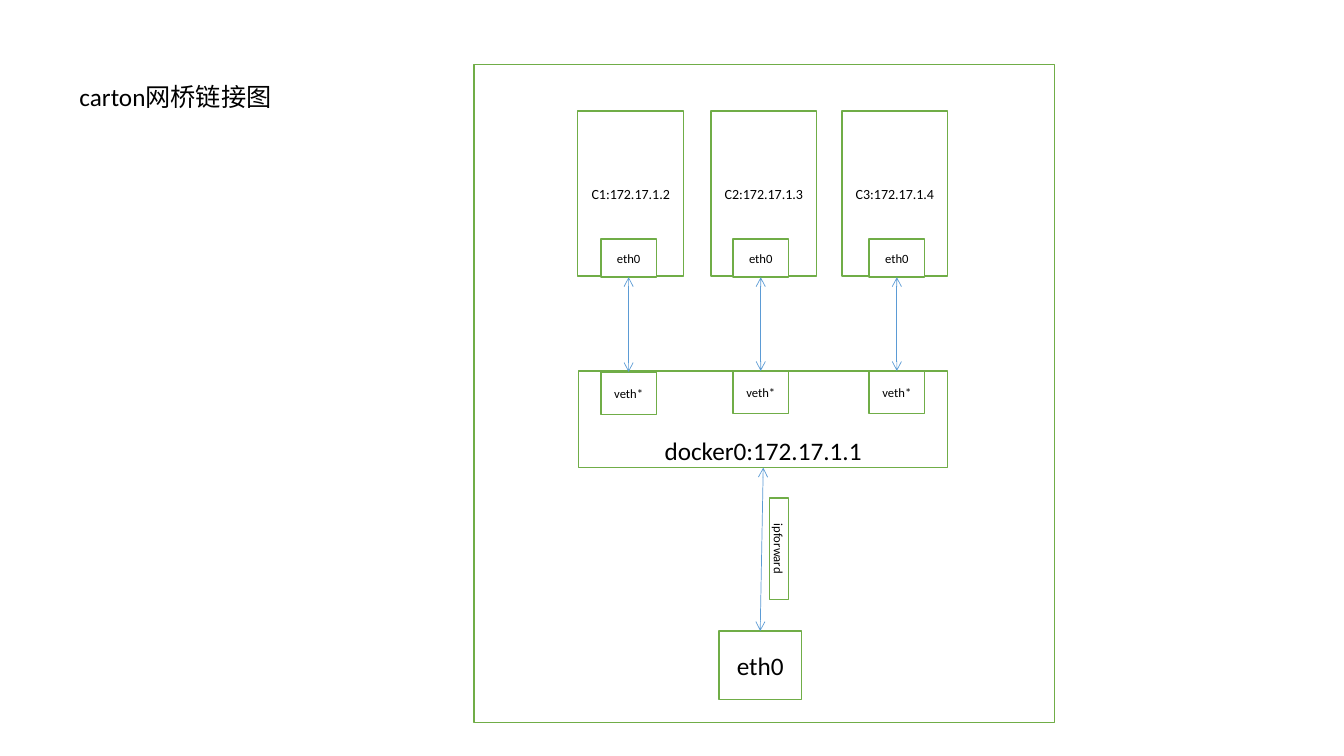
from dataclasses import dataclass

from lxml import etree
from pptx import Presentation
from pptx.dml.color import RGBColor
from pptx.enum.shapes import MSO_CONNECTOR, MSO_SHAPE
from pptx.enum.text import MSO_ANCHOR, PP_ALIGN
from pptx.oxml.ns import qn
from pptx.util import Inches, Pt

RECTANGLE = MSO_SHAPE.RECTANGLE
STRAIGHT = MSO_CONNECTOR.STRAIGHT
MIDDLE, BOTTOM = MSO_ANCHOR.MIDDLE, MSO_ANCHOR.BOTTOM
LEFT, CENTER = PP_ALIGN.LEFT, PP_ALIGN.CENTER
TOP_SITE, BOTTOM_SITE = 0, 2


@dataclass(frozen=True)
class Theme:
    font: str = "Calibri"
    text: RGBColor = RGBColor(0x00, 0x00, 0x00)
    fill: RGBColor = RGBColor(0xFF, 0xFF, 0xFF)
    border: RGBColor = RGBColor(0x70, 0xAD, 0x47)
    link: RGBColor = RGBColor(0x5B, 0x9B, 0xD5)
    border_width: Pt = Pt(1)
    link_width: Pt = Pt(0.5)
    heading: Pt = Pt(18)
    container: Pt = Pt(10)
    port: Pt = Pt(9)


THEME = Theme()
CONTAINERS = [
    ("C1:172.17.1.2", 5.73, 5.96, 3.69),
    ("C2:172.17.1.3", 7.05, 7.27, 3.68),
    ("C3:172.17.1.4", 8.35, 8.62, 3.68),
]


def write(frame, text, size, align):
    frame.text = text
    paragraph = frame.paragraphs[0]
    paragraph.alignment = align
    font = paragraph.runs[0].font
    font.name, font.size = THEME.font, size
    font.color.rgb = THEME.text


def add_box(slide, left, top, width, height, text="", size=THEME.port, anchor=MIDDLE):
    box = slide.shapes.add_shape(
        RECTANGLE, Inches(left), Inches(top), Inches(width), Inches(height)
    )
    box.shadow.inherit = False
    box.fill.solid()
    box.fill.fore_color.rgb = THEME.fill
    box.line.color.rgb = THEME.border
    box.line.width = THEME.border_width
    if text:
        write(box.text_frame, text, size, CENTER)
        box.text_frame.vertical_anchor = anchor
    return box


def add_link(slide, upper, lower):
    link = slide.shapes.add_connector(STRAIGHT, 0, 0, 0, 0)
    link.begin_connect(upper, BOTTOM_SITE)
    link.end_connect(lower, TOP_SITE)
    link.line.color.rgb = THEME.link
    link.line.width = THEME.link_width
    outline = link.line._get_or_add_ln()
    for end in ("a:headEnd", "a:tailEnd"):
        etree.SubElement(outline, qn(end), type="arrow")
    etree.SubElement(link._element.spPr, qn("a:effectLst"))


def add_title(slide, text):
    title = slide.shapes.add_textbox(Inches(0.69), Inches(0.76), Inches(2.7), Inches(0.4))
    title.text_frame.word_wrap = True
    write(title.text_frame, text, THEME.heading, LEFT)


def add_container(slide, address, left, port_left, veth_top):
    add_box(slide, left, 1.1, 1.05, 1.64, address, THEME.container)
    port = add_box(slide, port_left, 2.37, 0.55, 0.38, "eth0")
    veth = add_box(slide, port_left, veth_top, 0.55, 0.42, "veth*")
    add_link(slide, port, veth)


def main():
    deck = Presentation()
    deck.slide_width, deck.slide_height = Inches(13.33), Inches(7.5)
    slide = deck.slides.add_slide(deck.slide_layouts[6])

    add_title(slide, "carton网桥链接图")
    add_box(slide, 4.7, 0.64, 5.76, 6.53)
    bridge = add_box(
        slide, 5.74, 3.68, 3.66, 0.96, "docker0:172.17.1.1", THEME.heading, BOTTOM
    )
    bridge.text_frame.margin_bottom = Inches(0.02)
    for container in CONTAINERS:
        add_container(slide, *container)

    host_port = add_box(slide, 7.13, 6.26, 0.82, 0.68, "eth0", THEME.heading)
    add_link(slide, bridge, host_port)
    forwarding = add_box(slide, 7.22, 5.35, 1.01, 0.19, "ipforward")
    forwarding.rotation = 90

    deck.save("out.pptx")


if __name__ == "__main__":
    main()
